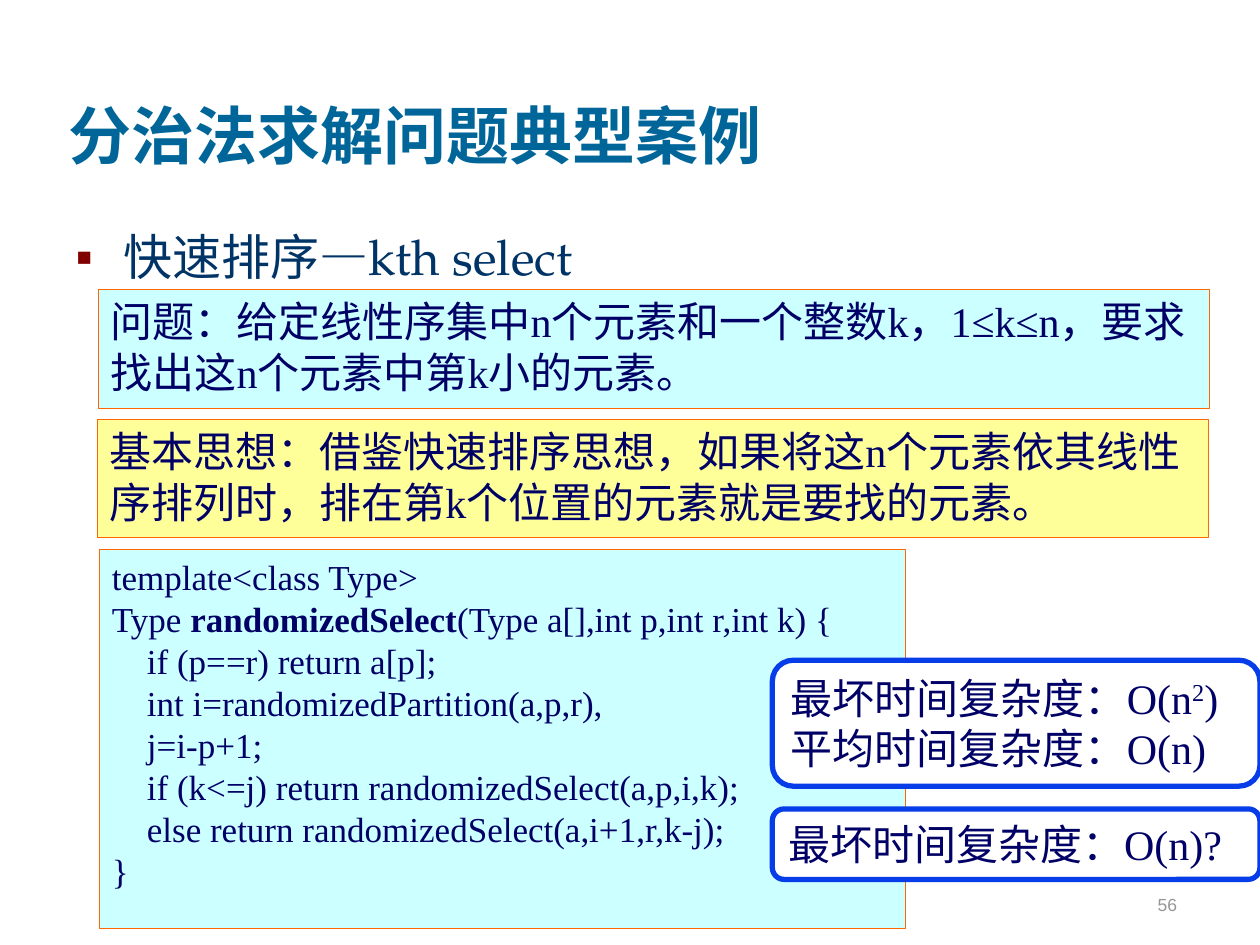
from lxml.etree import SubElement
from pptx import Presentation
from pptx.dml.color import RGBColor
from pptx.enum.shapes import MSO_SHAPE
from pptx.enum.text import MSO_ANCHOR, MSO_AUTO_SIZE, PP_ALIGN
from pptx.oxml.ns import qn
from pptx.util import Inches, Pt

COLORS = {
    "title": "006699", "heading": "003366", "bullet": "800000",
    "text": "000066", "number": "969696", "cyan": "CCFFFF",
    "yellow": "FFFF99", "white": "FFFFFF", "orange": "FF6600", "blue": "063DE8",
}
SERIF = "Times New Roman"
CODE = [
    ["template<class Type>"],
    ["Type ", ("randomizedSelect", "bold"), "(Type a[],int p,int r,int k) {"],
    ["    if (p==r) return a[p];"],
    ["    int i=randomizedPartition(a,p,r),"],
    ["    j=i-p+1;"],
    ["    if (k<=j) return randomizedSelect(a,p,i,k);"],
    ["    else return randomizedSelect(a,i+1,r,k-j);"],
    ["}"],
]


def color(name):
    return RGBColor.from_string(COLORS[name])


def apply(target, **formats):
    for attribute, value in formats.items():
        setattr(target, attribute, value)


def place(shape, box):
    sides = ("left", "top", "width", "height")
    apply(shape, **{side: Inches(length) for side, length in zip(sides, box)})


def write(frame, lines, size, font=SERIF, ink="text", align=PP_ALIGN.LEFT, bold=False):
    """Fill a frame; each line is a list of strings or (string, style) pairs."""
    for index, line in enumerate(lines):
        paragraph = frame.paragraphs[0] if index == 0 else frame.add_paragraph()
        apply(paragraph, alignment=align, space_before=Pt(0))
        for part in line:
            content, style = (part, None) if isinstance(part, str) else part
            run = paragraph.add_run()
            run.text = content
            apply(run.font, name=font, size=Pt(size), bold=bold or style == "bold")
            run.font.color.rgb = color(ink)
            if style == "superscript":
                run.font._element.set("baseline", "30000")


def add_title(slide, box):
    title = slide.shapes.title
    place(title, box)
    apply(title.text_frame, vertical_anchor=MSO_ANCHOR.BOTTOM,
          auto_size=MSO_AUTO_SIZE.NONE, word_wrap=True)
    write(title.text_frame, [["分治法求解问题典型案例"]], 36, ink="title", bold=True)


def add_topic(slide, box):
    topic = slide.placeholders[1]
    place(topic, box)
    apply(topic.text_frame, auto_size=MSO_AUTO_SIZE.NONE, word_wrap=True)
    write(topic.text_frame, [["快速排序—kth select"]], 28, "TeX Gyre Pagella", "heading")
    properties = topic.text_frame.paragraphs[0]._p.get_or_add_pPr()
    properties.set("marL", str(Inches(0.38)))
    properties.set("indent", str(-Inches(0.38)))
    bullet_color = SubElement(properties, qn("a:buClr"))
    SubElement(bullet_color, qn("a:srgbClr"), val=COLORS["bullet"])
    SubElement(properties, qn("a:buChar"), char="▪")


def add_panel(slide, box, lines, size=24, fill="cyan", border="orange", weight=0.5,
              preset=MSO_SHAPE.RECTANGLE, fit=MSO_AUTO_SIZE.NONE):
    panel = slide.shapes.add_shape(preset, *map(Inches, box))
    panel.shadow.inherit = False
    panel.fill.solid()
    panel.fill.fore_color.rgb = color(fill)
    panel.line.color.rgb = color(border)
    panel.line.width = Pt(weight)
    apply(panel.text_frame, word_wrap=True, vertical_anchor=MSO_ANCHOR.TOP, auto_size=fit)
    write(panel.text_frame, lines, size)


def add_complexity(slide, box, lines):
    add_panel(slide, box, lines, fill="white", border="blue", weight=3,
              preset=MSO_SHAPE.ROUNDED_RECTANGLE, fit=MSO_AUTO_SIZE.SHAPE_TO_FIT_TEXT)


def add_page_number(slide, box):
    number = slide.shapes.add_textbox(*map(Inches, box))
    apply(number.text_frame, word_wrap=True, vertical_anchor=MSO_ANCHOR.BOTTOM)
    write(number.text_frame, [["56"]], 10, "Arial", "number", PP_ALIGN.RIGHT)


def main():
    presentation = Presentation()
    apply(presentation, slide_width=Inches(10), slide_height=Inches(7.5))
    slide = presentation.slides.add_slide(presentation.slide_layouts[1])
    add_title(slide, (0.44, 0.17, 8.5, 1.25))
    add_topic(slide, (0.5, 1.75, 8.94, 4.88))
    add_page_number(slide, (7.36, 6.81, 2.08, 0.5))
    add_panel(slide, (0.78, 2.3, 8.82, 0.94),
              [["问题：给定线性序集中n个元素和一个整数k，1≤k≤n，要求找出这n个元素中第k小的元素。"]])
    add_panel(slide, (0.77, 3.33, 8.82, 0.94),
              [["基本思想：借鉴快速排序思想，如果将这n个元素依其线性序排列时，排在第k个位置的元素就是要找的元素。"]],
              fill="yellow")
    add_panel(slide, (0.79, 4.36, 6.4, 3.01), CODE, size=20)
    add_complexity(slide, (6.13, 5.24, 3.87, 1),
                   [["最坏时间复杂度：O(n", ("2", "superscript"), ")"],
                    ["平均时间复杂度：O(n)"]])
    add_complexity(slide, (6.13, 6.42, 3.87, 0.56), [["最坏时间复杂度：O(n)?"]])
    presentation.save("out.pptx")


if __name__ == "__main__":
    main()
